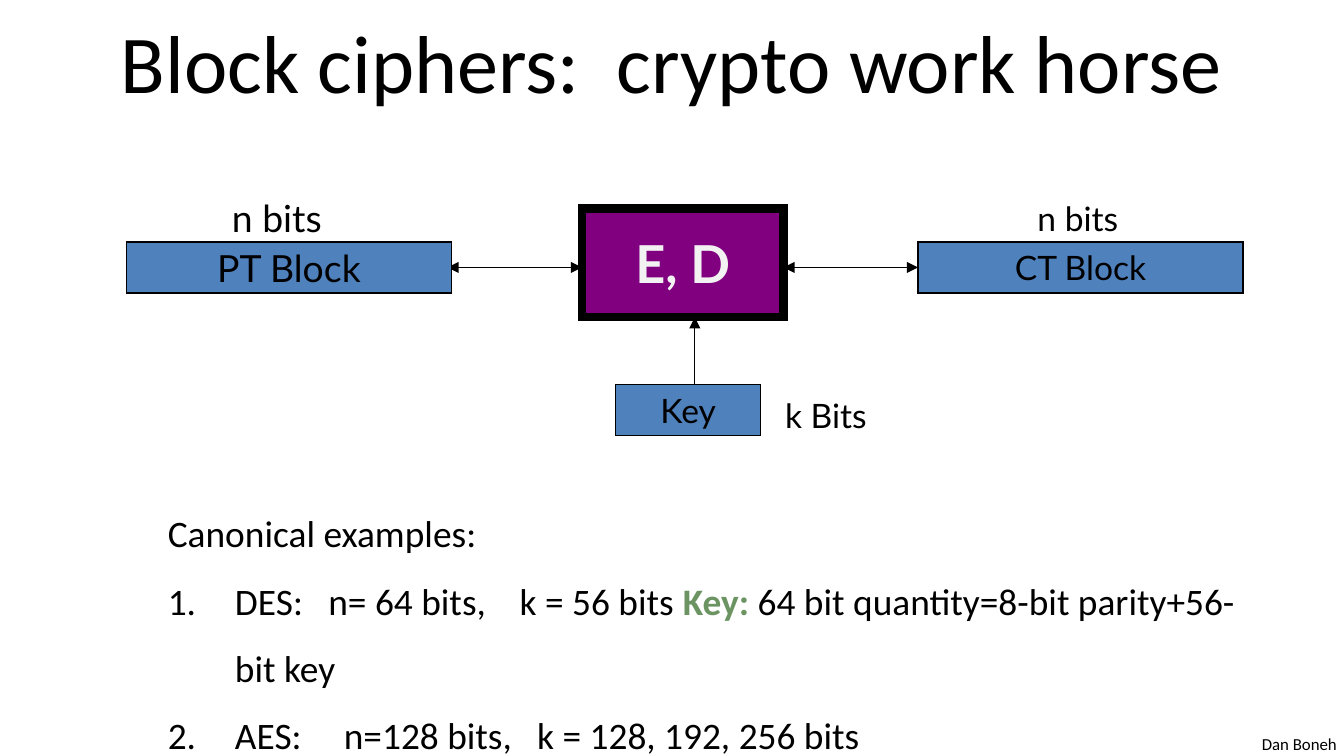
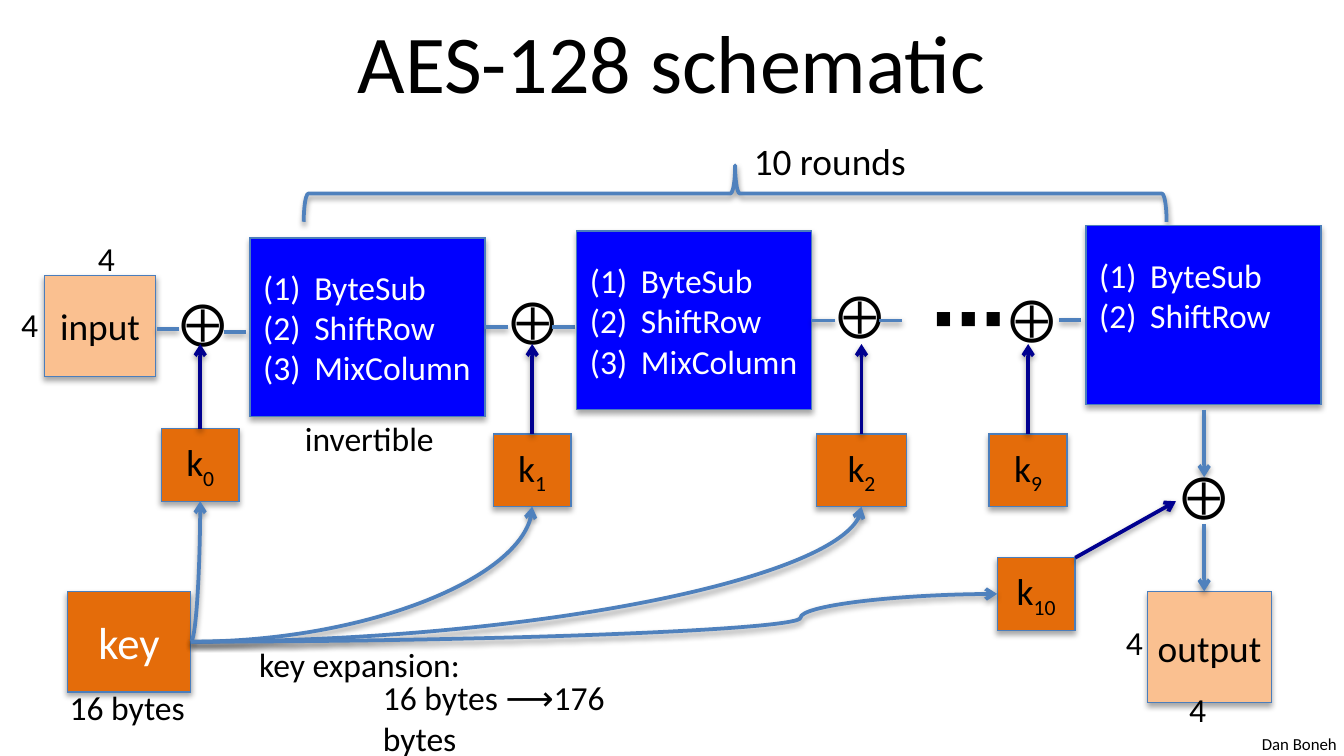
from lxml import etree
from pptx import Presentation
from pptx.dml.color import RGBColor
from pptx.enum.shapes import MSO_CONNECTOR, MSO_SHAPE
from pptx.enum.text import MSO_ANCHOR, MSO_AUTO_SIZE, PP_ALIGN
from pptx.oxml.ns import qn
from pptx.util import Inches, Pt

RECT, BRACE = MSO_SHAPE.RECTANGLE, MSO_SHAPE.RIGHT_BRACE
STRAIGHT, CURVE = MSO_CONNECTOR.STRAIGHT, MSO_CONNECTOR.CURVE
LEFT, CENTER = PP_ALIGN.LEFT, PP_ALIGN.CENTER
TOP_SIDE, LEFT_SIDE, BOTTOM_SIDE, RIGHT_SIDE = range(4)

BLACK, WHITE, OFF_WHITE = "000000", "FFFFFF", "F2F2F2"
STEEL, EDGE, NAVY, BLUE = "4F81BD", "4B7EBC", "000090", "0000FF"
PURPLE, ORANGE, PEACH, GREEN = "800080", "E46C0A", "FAC090", "6B9462"
SANS, DIAGRAM_FONT = "Calibri", "Lato"


def color(hex_code):
    return RGBColor.from_string(hex_code)


def inches(*lengths):
    return [Inches(length) for length in lengths]


def effects(shape, opacity=0, distance=0):
    """Replace inherited effects with none, or with a soft shadow straight down."""
    properties = shape._element.spPr
    for old in properties.findall(qn("a:effectLst")):
        properties.remove(old)
    effect_list = etree.SubElement(properties, qn("a:effectLst"))
    if opacity:
        shadow = etree.SubElement(
            effect_list, qn("a:outerShdw"), blurRad=str(Pt(3.1)),
            dist=str(Pt(distance)), dir="5400000", rotWithShape="0")
        tone = etree.SubElement(shadow, qn("a:srgbClr"), val=BLACK)
        etree.SubElement(tone, qn("a:alpha"), val=str(opacity * 1000))


def style(paragraph, size, ink=BLACK, face=SANS, bold=False, align=LEFT):
    paragraph.alignment = align
    font = paragraph.font
    font.size, font.name, font.bold = Pt(size), face, bold
    font.color.rgb = color(ink)


def hang(paragraph, indent, numbering=None):
    """Give a hanging indent, with automatic numbers if asked for."""
    properties = paragraph._p.get_or_add_pPr()
    properties.set("marL", str(Inches(indent)))
    properties.set("indent", str(-Inches(indent)))
    if numbering:
        etree.SubElement(properties, qn("a:buFont"), typeface="+mj-lt")
        etree.SubElement(properties, qn("a:buAutoNum"), type=numbering)


def subscript(paragraph, text):
    run = paragraph.add_run()
    run.text = text
    run._r.get_or_add_rPr().set("baseline", "-25000")


def label(slide, text, box, size=18, wrap=False, rotation=0, **look):
    note = slide.shapes.add_textbox(*inches(*box))
    note.rotation = rotation
    frame = note.text_frame
    frame.word_wrap = wrap
    frame.auto_size = MSO_AUTO_SIZE.SHAPE_TO_FIT_TEXT
    frame.text = text
    style(frame.paragraphs[0], size, **look)
    return note


def block(slide, text, box, fill, size=20, edge=EDGE, edge_width=0.75,
          shadowed=True, **look):
    shape = slide.shapes.add_shape(RECT, *inches(*box))
    shape.fill.solid()
    shape.fill.fore_color.rgb = color(fill)
    shape.line.color.rgb = color(edge)
    shape.line.width = Pt(edge_width)
    etree.SubElement(shape.line._get_or_add_ln(), qn("a:miter"), lim="800000")
    effects(shape, 35 if shadowed else 0, 1.8)
    frame = shape.text_frame
    frame.vertical_anchor = MSO_ANCHOR.MIDDLE
    frame.word_wrap = shadowed
    frame.text = text
    style(frame.paragraphs[0], size, align=CENTER, **look)
    return shape


def wire(slide, start, end, ink=STEEL, width=2, head=None, tail=None,
         shadowed=True, kind=STRAIGHT):
    connector = slide.shapes.add_connector(kind, *inches(*start, *end))
    connector.line.color.rgb = color(ink)
    connector.line.width = Pt(width)
    for tag, arrow in (("a:headEnd", head), ("a:tailEnd", tail)):
        if arrow:
            etree.SubElement(connector.line._get_or_add_ln(), qn(tag), type=arrow)
    effects(connector, 38 if shadowed else 0, 1.6)
    return connector


def titled_slide(deck, title):
    slide = deck.slides.add_slide(deck.slide_layouts[5])
    heading = slide.shapes.title
    heading.left, heading.top, heading.width, heading.height = inches(0.5, -0.02, 9, 0.94)
    heading.text_frame.text = title
    heading.text_frame.vertical_anchor = MSO_ANCHOR.MIDDLE
    style(heading.text_frame.paragraphs[0], 44, align=CENTER)
    return slide


def master_footer(deck, slide):
    """Build the footer on a slide, then move it to the master for all slides."""
    footer = label(slide, "Dan Boneh", (9.29, 5.41, 0.76, 0.25), 9)
    deck.slide_master.shapes._spTree.append(footer._element)


# Block cipher slide

def cipher_diagram(slide, left, top):
    def part(text, x, y, width, height=0.38, fill=STEEL, size=18, **look):
        look = {"edge": BLACK, "face": DIAGRAM_FONT, "shadowed": False, **look}
        return block(slide, text, (left + x, top + y, width, height), fill, size, **look)

    def arrow(start, end, head=None):
        return wire(slide, (left + start[0], top + start[1]),
                    (left + end[0], top + end[1]), BLACK, 0.75,
                    head, "triangle", shadowed=False)

    part("E, D", 3.39, 0.15, 1.5, 0.81, PURPLE, 28,
         edge_width=4.5, ink=OFF_WHITE, bold=True)
    arrow((2.39, 0.59), (3.39, 0.59), "triangle")
    ciphertext = part("CT Block", 5.89, 0.4, 2.42)
    arrow((4.89, 0.59), (5.89, 0.59), "triangle").end_connect(ciphertext, LEFT_SIDE)
    part("PT Block", 0, 0.4, 2.42, size=20)
    part("Key", 3.64, 1.46, 1.08)
    arrow((4.23, 1.46), (4.23, 0.96))

    for text, x, y, width, size in (("n bits", 0.68, 0, 0.88, 20),
                                    ("n bits", 6.67, 0.02, 0.82, 18),
                                    ("k Bits", 4.8, 1.49, 0.81, 18)):
        label(slide, text, (left + x, top + y, width, 0.4), size,
              face=DIAGRAM_FONT, align=CENTER)


def canonical_examples(slide, box):
    frame = label(slide, "Canonical examples:", box, 20, wrap=True).text_frame
    hang(frame.paragraphs[0], 0.5)
    examples = (
        ("DES:   n= 64 bits,    k = 56 bits ", "Key:",
         " 64 bit quantity=8-bit parity+56-bit key"),
        ("AES:     n=128 bits,   k = 128, 192, 256 bits",),
    )
    for pieces in examples:
        example = frame.add_paragraph()
        example.line_spacing = 1.5
        hang(example, 0.5, "arabicPeriod")
        style(example, 20)
        for piece in pieces:
            run = example.add_run()
            run.text = piece
            if piece == "Key:":
                run.font.bold = True
                run.font.color.rgb = color(GREEN)


def block_cipher_slide(deck):
    slide = titled_slide(deck, "Block ciphers:  crypto work horse")
    master_footer(deck, slide)
    cipher_diagram(slide, 0.94, 1.4)
    canonical_examples(slide, (1.15, 3.75, 8.35, 1.9))


# AES slide

def xor(slide, left, top):
    label(slide, "⨁", (left, top, 0.34, 0.5), 24, rotation=270)


def round_box(slide, left, top, steps, bottom_inset=0.05):
    box = block(slide, steps[0], (left, top, 1.75, 1.33), BLUE)
    frame = box.text_frame
    frame.margin_right, frame.margin_bottom = inches(0, bottom_inset)
    for step in steps[1:]:
        frame.add_paragraph().text = step
    for paragraph in frame.paragraphs:
        paragraph._p.get_or_add_pPr().clear()
        hang(paragraph, 0.38, "arabicParenBoth")
        style(paragraph, 18, WHITE)
    return box


def mixed_round(slide, left, top):
    """A full round, followed by the XOR with the next round key."""
    box = round_box(slide, left, top, ("ByteSub", "ShiftRow", "MixColumn"))
    middle = top + 1.33 / 2
    wire(slide, (left + 1.75, middle), (left + 1.92, middle)).begin_connect(box, RIGHT_SIDE)
    xor(slide, left + 1.9, top + 0.49)
    wire(slide, (left + 2.25, middle), (left + 2.42, middle))


def round_key(slide, number, center, top, width=0.58):
    key = block(slide, "k", (center - width / 2, top, width, 0.54), ORANGE)
    subscript(key.text_frame.paragraphs[0], str(number))
    return key


def state_square(slide, name, box, side_label, edge_label):
    """A 4 by 4 byte state; the labels are offsets from its corner."""
    square = block(slide, name, box, PEACH)
    square.text_frame.margin_left = square.text_frame.margin_right = 0
    for x, y in (side_label, edge_label):
        label(slide, "4", (box[0] + x, box[1] + y, 0.33, 0.4))


def rounds_brace(slide, left, top, width, height):
    # The brace is drawn upright, then turned about its centre.
    brace = slide.shapes.add_shape(
        BRACE, *inches(left + (width - height) / 2, top + (height - width) / 2,
                       height, width))
    brace.rotation = 270
    brace.fill.background()
    brace.line.color.rgb = color(STEEL)
    brace.line.width = Pt(2)
    effects(brace, 38, 1.6)
    label(slide, "10 rounds", (left + 3.25, top - 0.25, 1.35, 0.44), 20)


def final_round(slide, left, top):
    """The last round, which leads down to the output."""
    wire(slide, (left - 0.2, top + 0.7), (left - 0.04, top + 0.7))
    round_box(slide, left, top, ("ByteSub", "ShiftRow"), bottom_inset=0.35)
    state_square(slide, "output", (left + 0.46, top + 2.72, 0.92, 0.83),
                 (-0.26, 0.18), (0.21, 0.68))
    xor(slide, left + 0.67, top + 1.88)
    for start in (1.37, 2.22):
        wire(slide, (left + 0.88, top + start), (left + 0.88, top + start + 0.5),
             tail="arrow")


def key_expansion(slide, left, top, round_keys, last_key):
    key = block(slide, "key", (left, top, 0.92, 0.75), ORANGE, 24, ink=WHITE)
    start = (left + 0.92, top + 0.37)
    for target in round_keys:
        end = ((target.left + target.width / 2) / Inches(1),
               (target.top + target.height) / Inches(1))
        curve = wire(slide, start, end, tail="arrow", kind=CURVE)
        curve._element.spPr.find(qn("a:prstGeom")).set("prst", "curvedConnector2")
        curve.begin_connect(key, RIGHT_SIDE)
        curve.end_connect(target, BOTTOM_SIDE)
    end = (last_key.left / Inches(1), (last_key.top + last_key.height / 2) / Inches(1))
    curve = wire(slide, start, end, tail="arrow", kind=CURVE)
    guides = curve._element.spPr.find(qn("a:prstGeom")).get_or_add_avLst()
    etree.SubElement(guides, qn("a:gd"), name="adj1", fmla="val 75600")
    curve.begin_connect(key, RIGHT_SIDE)
    curve.end_connect(last_key, LEFT_SIDE)
    label(slide, "16 bytes", (left - 0.08, top + 0.66, 1.07, 0.4))
    label(slide, "key expansion:", (left + 1.33, top + 0.34, 1.72, 0.4))
    label(slide, "16 bytes ⟶176 bytes", (left + 2.25, top + 0.59, 2.42, 0.4), wrap=True)


def aes_slide(deck):
    slide = titled_slide(deck, "AES-128 schematic")
    rounds_brace(slide, 2.26, 1.23, 6.42, 0.42)

    state_square(slide, "input", (0.33, 2.05, 0.83, 0.75), (-0.27, 0.16), (0.3, -0.33))
    wire(slide, (1.17, 2.45), (1.33, 2.45))
    xor(slide, 1.3, 2.27)
    wire(slide, (1.67, 2.47), (1.83, 2.47))

    mixed_round(slide, 1.86, 1.77)
    label(slide, "invertible", (2.17, 3.06, 1.18, 0.4))
    mixed_round(slide, 4.29, 1.72)
    label(slide, "⋯", (6.83, 1.97, 0.48, 0.77), 40, bold=True)
    xor(slide, 7.47, 2.24)
    final_round(slide, 8.08, 1.68)

    keys = []
    for number, center, top, width in ((0, 1.49, 3.19, 0.58), (1, 3.96, 3.23, 0.58),
                                       (2, 6.41, 3.23, 0.67), (9, 7.65, 3.23, 0.58)):
        key = round_key(slide, number, center, top, width)
        arrow = wire(slide, (center, top), (center, 2.56), NAVY, tail="arrow")
        arrow.begin_connect(key, TOP_SIDE)
        keys.append(key)
    last_key = round_key(slide, 10, 7.71, 4.15)
    wire(slide, (8, 4.15), (8.75, 3.73), NAVY, tail="arrow")
    key_expansion(slide, 0.5, 4.4, keys[:3], last_key)


def main():
    deck = Presentation()
    deck.slide_width = Inches(10)
    deck.slide_height = deck.slide_width * 9 // 16
    block_cipher_slide(deck)
    aes_slide(deck)
    deck.save("out.pptx")


if __name__ == "__main__":
    main()
